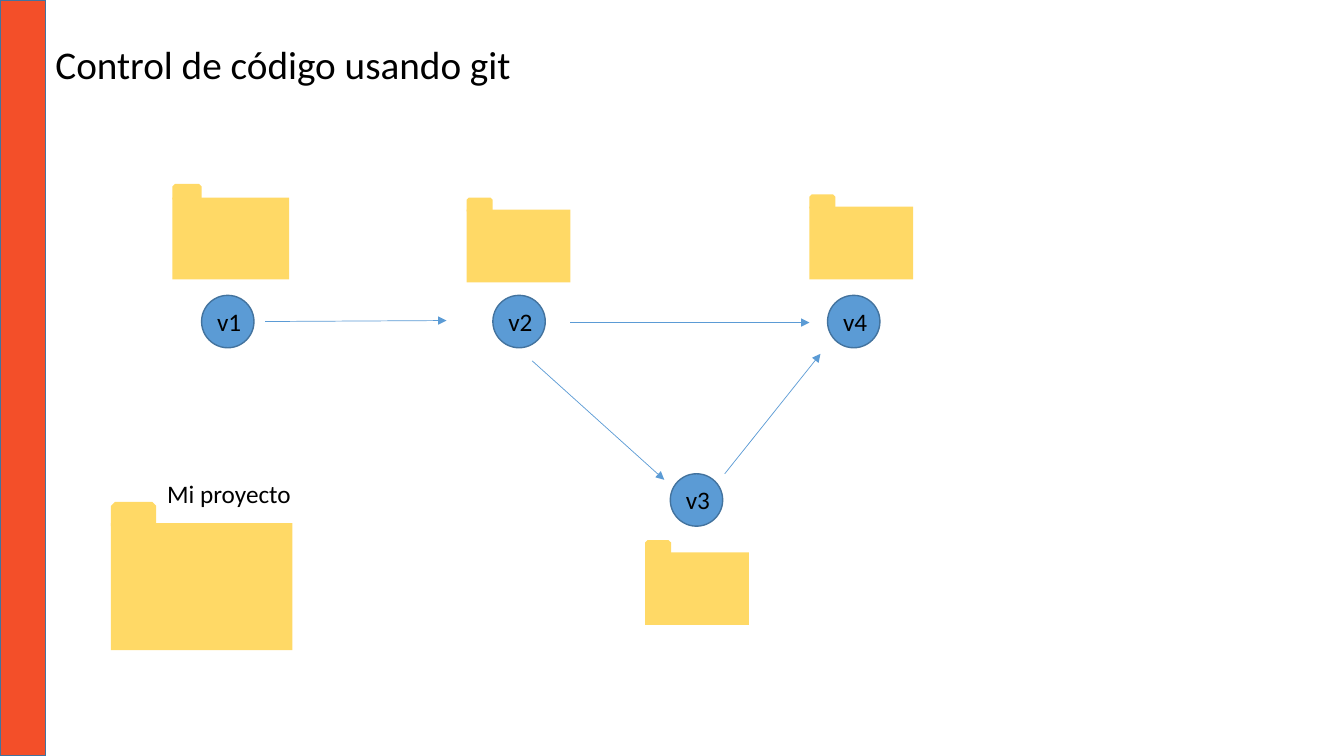
import pptx
import pptx.util
import pptx.dml.color
import pptx.enum.shapes
import pptx.enum.text
import lxml.etree

COLS, ROWS = 80, 45
WIDE, HIGH = pptx.util.Inches(13.33), pptx.util.Inches(7.5)
DISC = 3.12
HUES = {
    "bar": "F34F29",
    "folder": "FFD966",
    "disc": "5B9BD5",
    "edge": "43739E",
    "text": "000000",
}
NODES = [
    ("v1", (12, 17.58), (10.26, 11.76, 6.96)),
    ("v2", (29.34, 17.58), (27.78, 12.48, 6.18)),
    ("v3", (39.9, 28.2), (38.4, 32.88, 6.18)),
    ("v4", (49.26, 17.58), (48.18, 12.3, 6.18)),
]
LINKS = [
    (15.78, 19.14, 26.58, 19.08),
    (33.96, 19.2, 48.18, 19.2),
    (31.68, 21.48, 39.54, 28.56),
    (43.14, 28.2, 48.84, 21.06),
]
KINDS = pptx.enum.shapes.MSO_SHAPE


def grid(x, y, *rest):
    scale = (WIDE / COLS, HIGH / ROWS) * 2
    return [round(n * s) for n, s in zip((x, y, *rest), scale)]


def hue(name):
    return pptx.dml.color.RGBColor.from_string(HUES[name])


def block(slide, kind, box, fill, edge=None):
    shape = slide.shapes.add_shape(kind, *grid(*box))
    shape.shadow.inherit = False
    shape.fill.solid()
    shape.fill.fore_color.rgb = hue(fill)
    if edge:
        shape.line.color.rgb = hue(edge)
        shape.line.width = pptx.util.Pt(1)
    else:
        shape.line.fill.background()


def write(shape, text, size):
    frame = shape.text_frame
    frame.text = text
    frame.word_wrap = False
    frame.auto_size = pptx.enum.text.MSO_AUTO_SIZE.SHAPE_TO_FIT_TEXT
    frame.vertical_anchor = pptx.enum.text.MSO_ANCHOR.TOP
    para = frame.paragraphs[0]
    para.alignment = pptx.enum.text.PP_ALIGN.LEFT
    para.font.name = "Calibri"
    para.font.size = pptx.util.Pt(size)
    para.font.color.rgb = hue("text")


def label(slide, box, text):
    write(slide.shapes.add_textbox(*grid(*box)), text, 18)


def folder(slide, x, y, wide):
    high = 0.7 * wide
    block(slide, KINDS.RECTANGLE, (x, y, wide, high), "folder")
    tab = (x, y - high / 6, wide / 4, 0.19 * high)
    block(slide, KINDS.SNIP_2_SAME_RECTANGLE, tab, "folder")


def node(slide, name, spot, place):
    x, y = spot
    block(slide, KINDS.OVAL, (x, y, DISC, DISC), "disc", "edge")
    label(slide, (x + 0.33, y + 0.36, 2.64, 2.4), name)
    folder(slide, *place)


def arrow(slide, ends):
    kind = pptx.enum.shapes.MSO_CONNECTOR.STRAIGHT
    link = slide.shapes.add_connector(kind, *grid(*ends))
    link.line.color.rgb = hue("disc")
    link.line.width = pptx.util.Pt(0.5)
    tag = pptx.oxml.ns.qn
    tip = lxml.etree.SubElement(link.line._get_or_add_ln(), tag("a:tailEnd"))
    tip.set("type", "triangle")
    lxml.etree.SubElement(link._element.spPr, tag("a:effectLst"))


def title(slide, text):
    shape = slide.shapes.title
    shape.left, shape.top, shape.width, shape.height = grid(2.7, 2.1, 28.62, 3.42)
    write(shape, text, 28)


def main():
    deck = pptx.Presentation()
    deck.slide_width, deck.slide_height = WIDE, HIGH
    slide = deck.slides.add_slide(deck.slide_layouts[5])
    title(slide, "Control de código usando git")
    for ends in LINKS:
        arrow(slide, ends)
    for name, spot, place in NODES:
        node(slide, name, spot, place)
    folder(slide, 6.6, 31.14, 10.8)
    label(slide, (9.36, 28.2, 8.64, 2.4), "Mi proyecto")
    block(slide, KINDS.RECTANGLE, (0, 0, 2.7, ROWS), "bar", "edge")
    deck.save("out.pptx")


if __name__ == "__main__":
    main()
